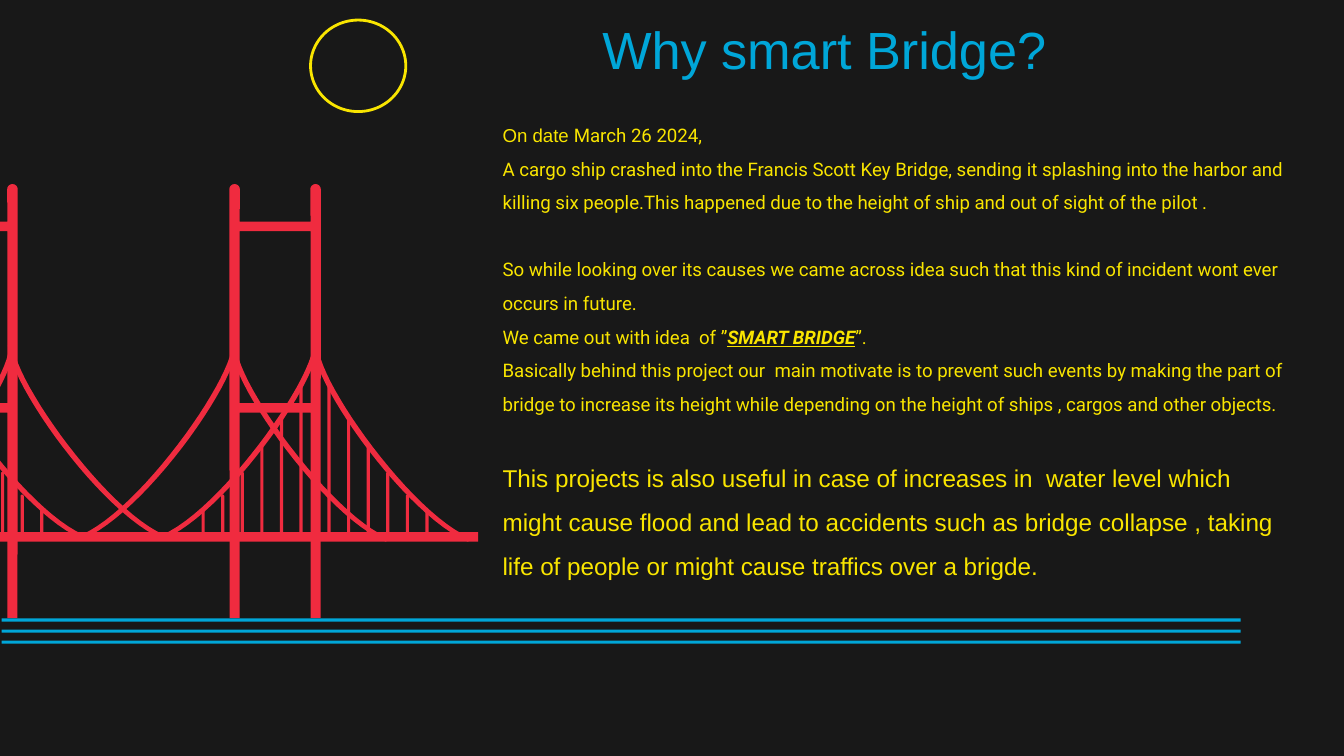
from math import cos, pi, sin

from pptx import Presentation
from pptx.dml.color import RGBColor
from pptx.enum.shapes import MSO_SHAPE
from pptx.enum.text import MSO_ANCHOR, MSO_AUTO_SIZE, PP_ALIGN
from pptx.util import Cm, Pt

COLORS = {
    "night": "181818",
    "water": "00A6D8",
    "bridge": "F02B3F",
    "sun": "F9E500",
}

# All positions below are in centimetres.
TOWER_LEFTS = [-1.39, 4.34]
# Top x, direction (1 runs right, -1 runs left), drop
CABLES = [
    (4.42, 1, 0.05), (4.44, -1, 0), (0.22, -1, 0.05), (0.2, 1, 0),
    (-1.32, 1, 0), (5.97, 1, 0.05), (5.97, -1, 0),
]
HANGER_TOPS = [7.26, 7.87, 8.42, 8.92, 9.35, 9.63]
HANGER_STEP = 0.37
# Centre of the tallest hanger, direction, number of tall hangers left out
HANGER_ROWS = [(-1.06, 1, 3), (6.22, 1, 0), (5.69, -1, 0)]

# Each paragraph: points before it, then its runs as (text, format)
BODY = [
    (0, [("On date ", {"font": "Arial"}), ("March 26 2024,", {})]),
    (0, [("A cargo ship crashed into the Francis Scott Key Bridge, sending it "
          "splashing into the harbor and killing six people.This happened due "
          "to the height of ship and out of sight of the pilot .", {})]),
    (18, [("So while looking over its causes we came across idea such that "
           "this kind of incident wont ever occurs in future.", {})]),
    (0, [("We came out with idea  of ”", {}),
         ("SMART BRIDGE", {"bold": True, "italic": True, "underline": True}),
         ("”.", {})]),
    (0, [("Basically behind this project our  main motivate is to prevent such "
          "events by making the part of  bridge to increase its height while "
          "depending on the height of ships , cargos and other objects.", {})]),
    (18, [("This projects is also useful in case of increases in  water level "
           "which might cause flood and lead to accidents such as bridge "
           "collapse , taking life of people or might cause traffics over a "
           "brigde.", {"font": "Arial", "size": 13})]),
]


def rgb(name):
    return RGBColor.from_string(COLORS[name])


def paint(shape, color):
    shape.shadow.inherit = False
    shape.fill.solid()
    shape.fill.fore_color.rgb = rgb(color)
    shape.line.fill.background()


def add_bar(shapes, left, top, width, height, color):
    bar = shapes.add_shape(MSO_SHAPE.RECTANGLE, Cm(left), Cm(top), Cm(width), Cm(height))
    paint(bar, color)


def add_outline(shapes, *contours):
    """Draw closed contours as one bridge part; later contours cut holes."""
    builder = None
    for contour in contours:
        start, *rest = [(Cm(x), Cm(y)) for x, y in contour]
        if builder is None:
            builder = shapes.build_freeform(*start)
        else:
            builder.move_to(*start)
        builder.add_line_segments(rest, close=True)
    paint(builder.convert_to_shape(), "bridge")


def curve(p0, p1, p2, p3, steps=24):
    """Points along a cubic Bezier curve."""
    points = []
    for i in range(steps + 1):
        t = i / steps
        weights = [(1 - t) ** 3, 3 * t * (1 - t) ** 2, 3 * t ** 2 * (1 - t), t ** 3]
        points.append(tuple(
            sum(w * p[axis] for w, p in zip(weights, (p0, p1, p2, p3))) for axis in (0, 1)))
    return points


def half_circle(x, y, radius, start, steps=8):
    """Clockwise half circle, starting at the given angle."""
    angles = [start + pi * i / steps for i in range(steps + 1)]
    return [(x + radius * cos(a), y + radius * sin(a)) for a in angles]


def add_tower(shapes, left):
    leg, radius, inner, outer, base = 0.19, 0.1, 1.53, 1.72, 11.68
    outline = [(0, base), *half_circle(leg / 2, 3.58, radius, pi),
               (leg, 4.19), (inner, 4.19),
               *half_circle((inner + outer) / 2, 3.58, radius, pi),
               (outer, base), (inner, base), (inner, 7.8), (leg, 7.8), (leg, base)]
    opening = [(leg, 4.37), (inner, 4.37), (inner, 7.62), (leg, 7.62)]
    add_outline(shapes, *[[(left + x, y) for x, y in part] for part in (outline, opening)])


def add_cable(shapes, top_x, direction, drop):
    lower = curve((-0.05, 6.53), (0, 7.29), (1.7, 9.68), (2.87, 10.19))
    upper = curve((2.9, 10.11), (1.8, 9.63), (0.1, 7.24), (0.05, 6.53))
    outline = [*lower, (2.92, 10.16), *upper, (0, 6.48)]
    add_outline(shapes, [(top_x + direction * x, y + drop) for x, y in outline])


def add_hanger(shapes, x, top):
    radius, bottom = 0.03, 10.19
    add_outline(shapes, half_circle(x, top + radius, radius, pi)
                + half_circle(x, bottom - radius, radius, 0))


def add_bridge(slide):
    shapes = slide.shapes.add_group_shape().shapes
    for cable in CABLES:
        add_cable(shapes, *cable)
    for left in TOWER_LEFTS:
        add_tower(shapes, left)
    for first_x, direction, skipped in HANGER_ROWS:
        for i, top in list(enumerate(HANGER_TOPS))[skipped:]:
            add_hanger(shapes, first_x + direction * i * HANGER_STEP, top)
    add_bar(shapes, -4.37, 10.06, 13.41, 0.18, "bridge")


def add_water(slide):
    shapes = slide.shapes.add_group_shape().shapes
    for i in range(3):
        add_bar(shapes, 0.03, 11.69 + i * 0.21, 23.42, 0.06, "water")


def add_sun(slide):
    sun = slide.shapes.add_shape(MSO_SHAPE.OVAL, Cm(5.87), Cm(0.38), Cm(1.8), Cm(1.73))
    sun.shadow.inherit = False
    sun.fill.background()
    sun.line.color.rgb = rgb("sun")
    sun.line.width = Pt(1.5)


def add_text_frame(slide, left, top, width, height, bottom_inset=0.25):
    frame = slide.shapes.add_textbox(Cm(left), Cm(top), Cm(width), Cm(height)).text_frame
    frame.word_wrap = True
    frame.auto_size = MSO_AUTO_SIZE.NONE
    frame.vertical_anchor = MSO_ANCHOR.MIDDLE
    frame.margin_left = frame.margin_right = frame.margin_top = Cm(0.25)
    frame.margin_bottom = Cm(bottom_inset)
    return frame


def write(paragraph, text, font="Roboto", size=10, color="sun",
          bold=False, italic=False, underline=False):
    run = paragraph.add_run()
    run.text = text
    run.font.name = font
    run.font.size = Pt(size)
    run.font.color.rgb = rgb(color)
    run.font.bold = bold
    run.font.italic = italic
    run.font.underline = underline


def add_title(slide):
    heading = add_text_frame(slide, 8.31, -0.15, 11.71, 2.13).paragraphs[0]
    heading.alignment = PP_ALIGN.RIGHT
    write(heading, "Why smart Bridge?", font="Arial", size=28, color="water")


def add_body(slide):
    frame = add_text_frame(slide, 9.25, 2.54, 15.39, 8.64, bottom_inset=0.88)
    for i, (gap, runs) in enumerate(BODY):
        paragraph = frame.add_paragraph() if i else frame.paragraphs[0]
        paragraph.line_spacing = 1.5
        if gap:
            paragraph.space_before = Pt(gap)
        for text, text_format in runs:
            write(paragraph, text, **text_format)


def main():
    deck = Presentation()
    deck.slide_width, deck.slide_height = Cm(25.4), Cm(14.29)
    slide = deck.slides.add_slide(deck.slide_layouts[6])
    slide.background.fill.solid()
    slide.background.fill.fore_color.rgb = rgb("night")
    add_title(slide)
    add_water(slide)
    add_bridge(slide)
    add_sun(slide)
    add_body(slide)
    deck.save("out.pptx")


if __name__ == "__main__":
    main()
